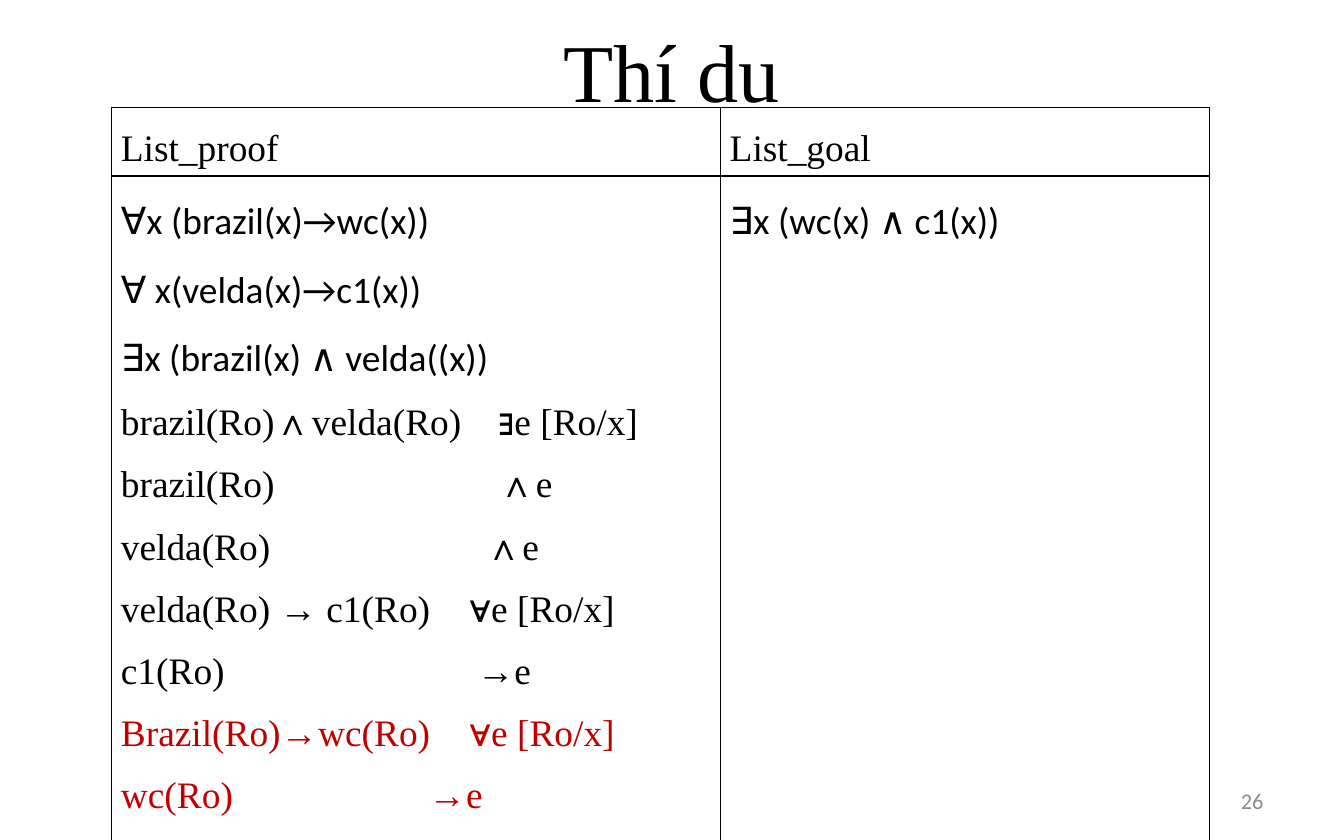
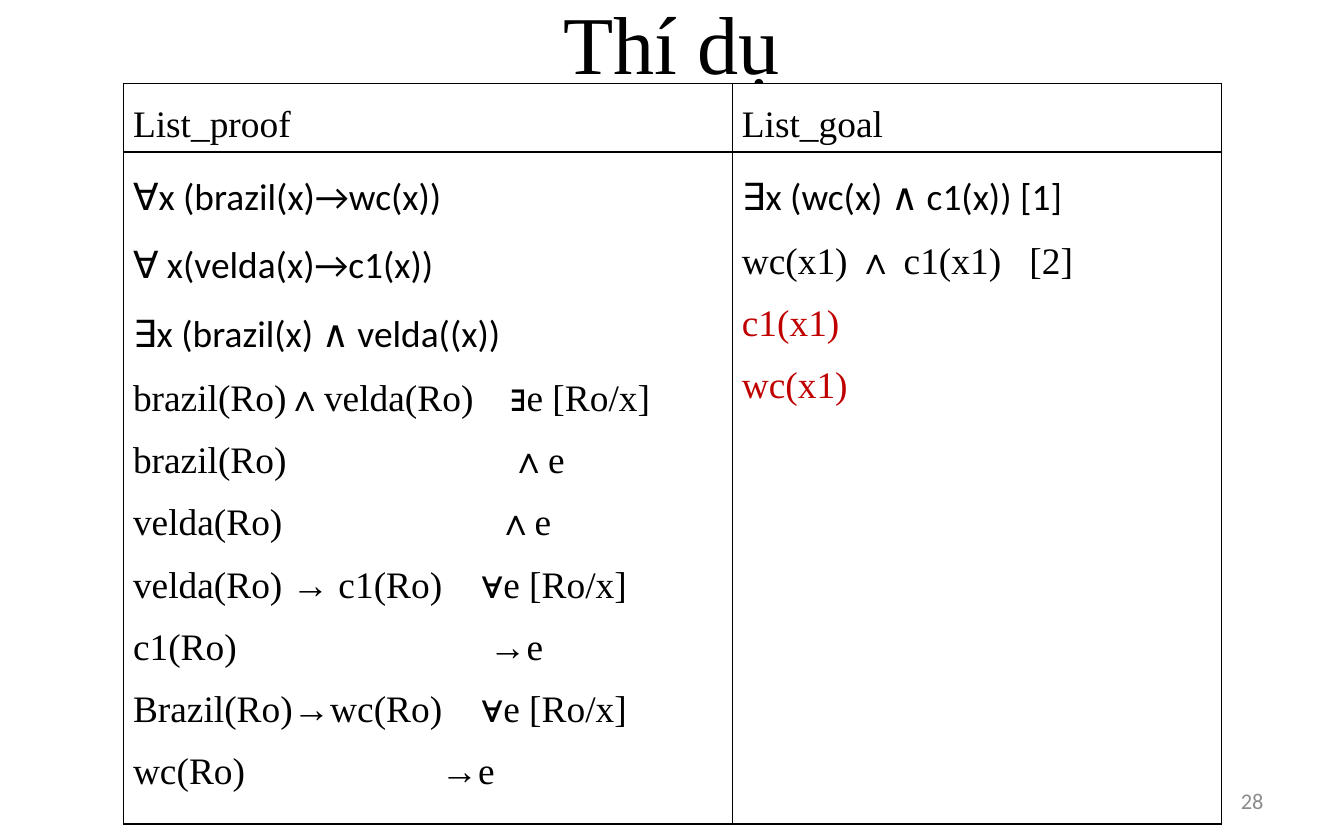
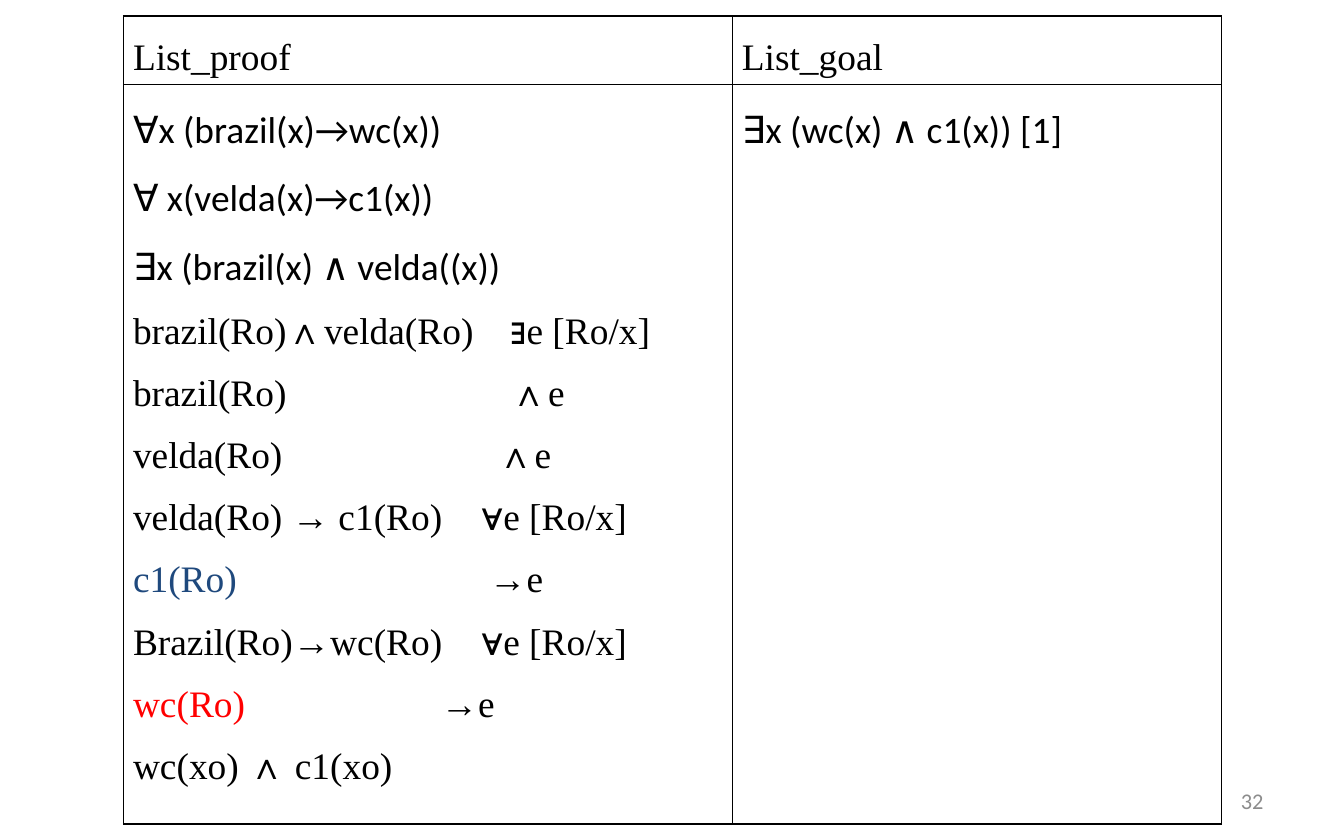
from dataclasses import dataclass, replace

from lxml.etree import SubElement
from pptx import Presentation
from pptx.dml.color import RGBColor
from pptx.enum.text import MSO_ANCHOR, PP_ALIGN
from pptx.oxml.ns import qn
from pptx.util import Inches, Pt

BLACK = RGBColor(0x00, 0x00, 0x00)
WHITE = RGBColor(0xFF, 0xFF, 0xFF)
GRAY = RGBColor(0x8C, 0x8C, 0x8C)
DARK_RED = RGBColor(0xC0, 0x00, 0x00)
RED = RGBColor(0xFF, 0x00, 0x00)
BLUE = RGBColor(0x1F, 0x49, 0x7D)
SERIF = "Times New Roman"
SANS = "Calibri"
COLUMN_WIDTHS = (4.53, 3.64)
HEADER_HEIGHT = 0.51


@dataclass(frozen=True)
class Step:
    formula: str
    rule: str = ""
    rule_at: float = 0
    font: str = SERIF
    formula_color: RGBColor = BLACK
    rule_color: RGBColor = BLACK


PREMISES = [
    Step("∀x (brazil(x)→wc(x))", font=SANS),
    Step("∀ x(velda(x)→c1(x))", font=SANS),
    Step("∃x (brazil(x) ∧ velda((x))", font=SANS),
]
DERIVATION = [
    Step("brazil(Ro)∧velda(Ro)", "∃e [Ro/x]", 2.81),
    Step("brazil(Ro)", "∧e", 2.81),
    Step("velda(Ro)", "∧e", 2.71),
    Step("velda(Ro) → c1(Ro)", "∀e [Ro/x]", 2.59),
]
C1_STEP = Step("c1(Ro)", "→e", 2.65)
BRAZIL_STEP = Step("Brazil(Ro)→wc(Ro)", "∀e [Ro/x]", 2.59)
WC_STEP = Step("wc(Ro)", "→e", 2.29)
NUMBERED_GOAL = Step("∃x (wc(x) ∧ c1(x)) [1]", font=SANS)


def write_text(paragraph, text, font=SERIF, size=20, color=BLACK,
               align=PP_ALIGN.JUSTIFY, spacing=None):
    paragraph.alignment = align
    if spacing:
        paragraph.line_spacing = spacing
    run = paragraph.add_run()
    run.text = text
    run.font.name = font
    run.font.size = Pt(size)
    run.font.color.rgb = color


def add_label(slide, text, left, top, width, height, **text_format):
    frame = slide.shapes.add_textbox(
        Inches(left), Inches(top), Inches(width), Inches(height)).text_frame
    frame.word_wrap = True
    frame.vertical_anchor = MSO_ANCHOR.MIDDLE
    write_text(frame.paragraphs[0], text, **text_format)


def add_title(slide, top):
    add_label(slide, "Thí dụ", 0.5, top, 9, 1.04, size=44, align=PP_ALIGN.CENTER)


def add_page_number(slide, number):
    add_label(slide, str(number), 7.17, 5.79, 2.33, 0.33,
              font=SANS, size=12, color=GRAY, align=PP_ALIGN.RIGHT)


def add_tab_stop(paragraph, position):
    tabs = SubElement(paragraph._p.get_or_add_pPr(), qn("a:tabLst"))
    SubElement(tabs, qn("a:tab"), pos=str(Inches(position)), algn="l")


def write_step(paragraph, step):
    formula = step.formula + ("\t" if step.rule else "")
    write_text(paragraph, formula, font=step.font,
               color=step.formula_color, spacing=1.5)
    if step.rule:
        add_tab_stop(paragraph, step.rule_at)
        write_text(paragraph, step.rule, font=step.font,
                   color=step.rule_color, spacing=1.5)


def add_borders(cell):
    properties = cell._tc.get_or_add_tcPr()
    for side in ("lnL", "lnR", "lnT", "lnB"):
        border = SubElement(properties, qn(f"a:{side}"), w=str(Pt(1)))
        fill = SubElement(border, qn("a:solidFill"))
        SubElement(fill, qn("a:srgbClr"), val=str(BLACK))


def fill_cell(cell, steps):
    cell.margin_left = cell.margin_right = Inches(0.07)
    cell.margin_top = cell.margin_bottom = 0
    add_borders(cell)
    cell.fill.solid()
    cell.fill.fore_color.rgb = WHITE
    frame = cell.text_frame
    for index, step in enumerate(steps):
        write_step(frame.add_paragraph() if index else frame.paragraphs[0], step)


def add_proof_table(slide, left, top, height, proof, goals):
    table = slide.shapes.add_table(
        2, 2, Inches(left), Inches(top),
        Inches(sum(COLUMN_WIDTHS)), Inches(height)).table
    table.first_row = table.horz_banding = False
    for column, width in zip(table.columns, COLUMN_WIDTHS):
        column.width = Inches(width)
    for row, row_height in zip(table.rows, (HEADER_HEIGHT, height - HEADER_HEIGHT)):
        row.height = Inches(row_height)
    contents = ([Step("List_proof")], [Step("List_goal")], proof, goals)
    for cell, steps in zip(table.iter_cells(), contents):
        fill_cell(cell, steps)


def add_proof_slide(deck, number, left, top, height, proof, goals, title_top=None):
    slide = deck.slides.add_slide(deck.slide_layouts[6])
    if title_top is not None:
        add_title(slide, title_top)
    add_page_number(slide, number)
    add_proof_table(slide, left, top, height, PREMISES + DERIVATION + proof, goals)


def main():
    deck = Presentation()
    deck.slide_width = Inches(10)
    deck.slide_height = Inches(6.25)

    new_steps = [replace(step, formula_color=DARK_RED, rule_color=DARK_RED)
                 for step in (BRAZIL_STEP, WC_STEP)]
    add_proof_slide(deck, 26, 0.83, 0.8, 5.27, [C1_STEP] + new_steps,
                    [Step("∃x (wc(x) ∧ c1(x))", font=SANS)], title_top=0)

    subgoals = [
        NUMBERED_GOAL,
        Step("wc(x1) ∧ c1(x1)", "[2]", 2.14),
        Step("c1(x1)", formula_color=DARK_RED),
        Step("wc(x1)", formula_color=DARK_RED),
    ]
    add_proof_slide(deck, 28, 0.92, 0.62, 5.27, [C1_STEP, BRAZIL_STEP, WC_STEP],
                    subgoals, title_top=-0.21)

    conclusion = [
        replace(C1_STEP, formula_color=BLUE),
        BRAZIL_STEP,
        replace(WC_STEP, formula_color=RED),
        Step("wc(xo) ∧ c1(xo)"),
    ]
    add_proof_slide(deck, 32, 0.92, 0.12, 5.73, conclusion, [NUMBERED_GOAL])

    deck.save("out.pptx")


if __name__ == "__main__":
    main()
